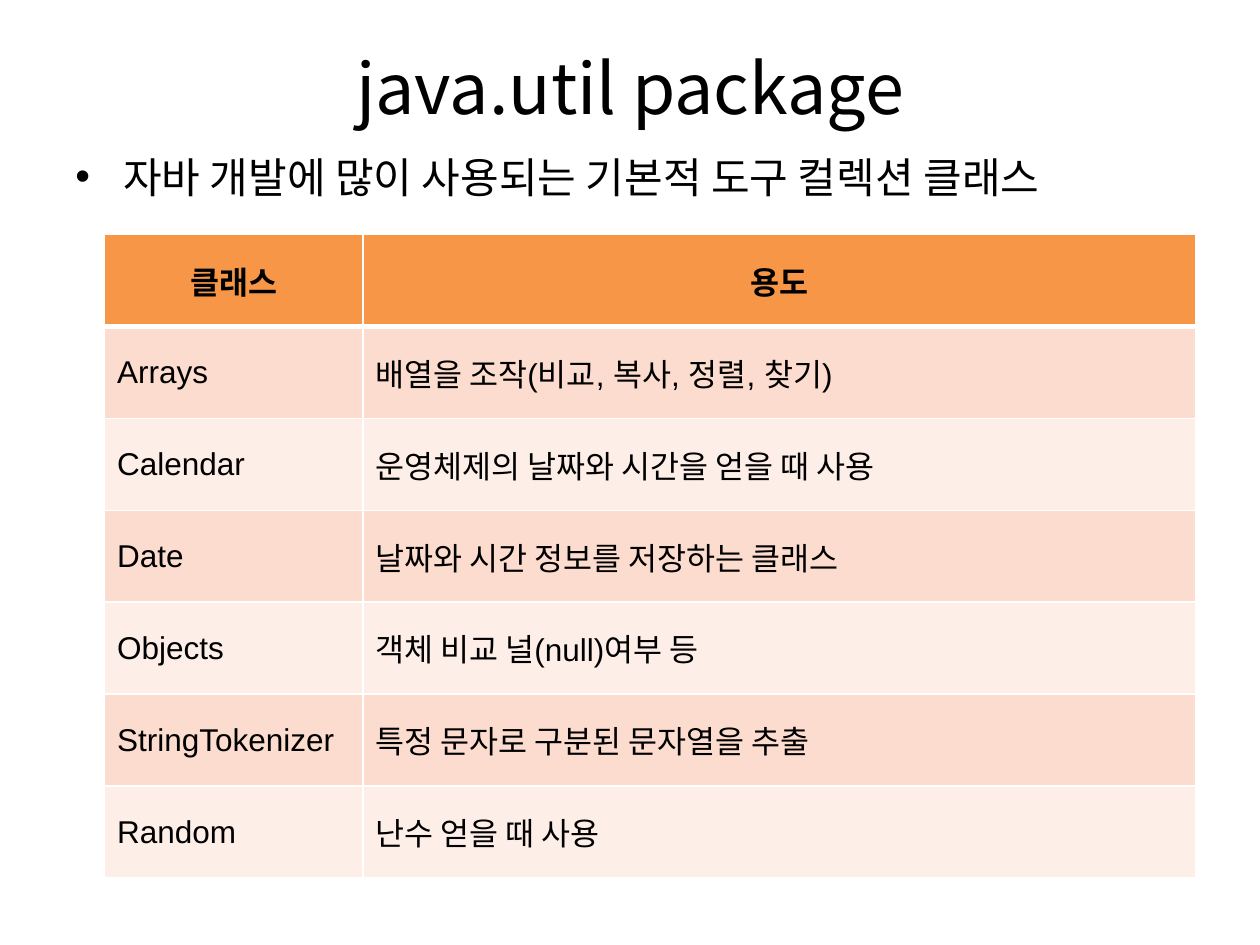
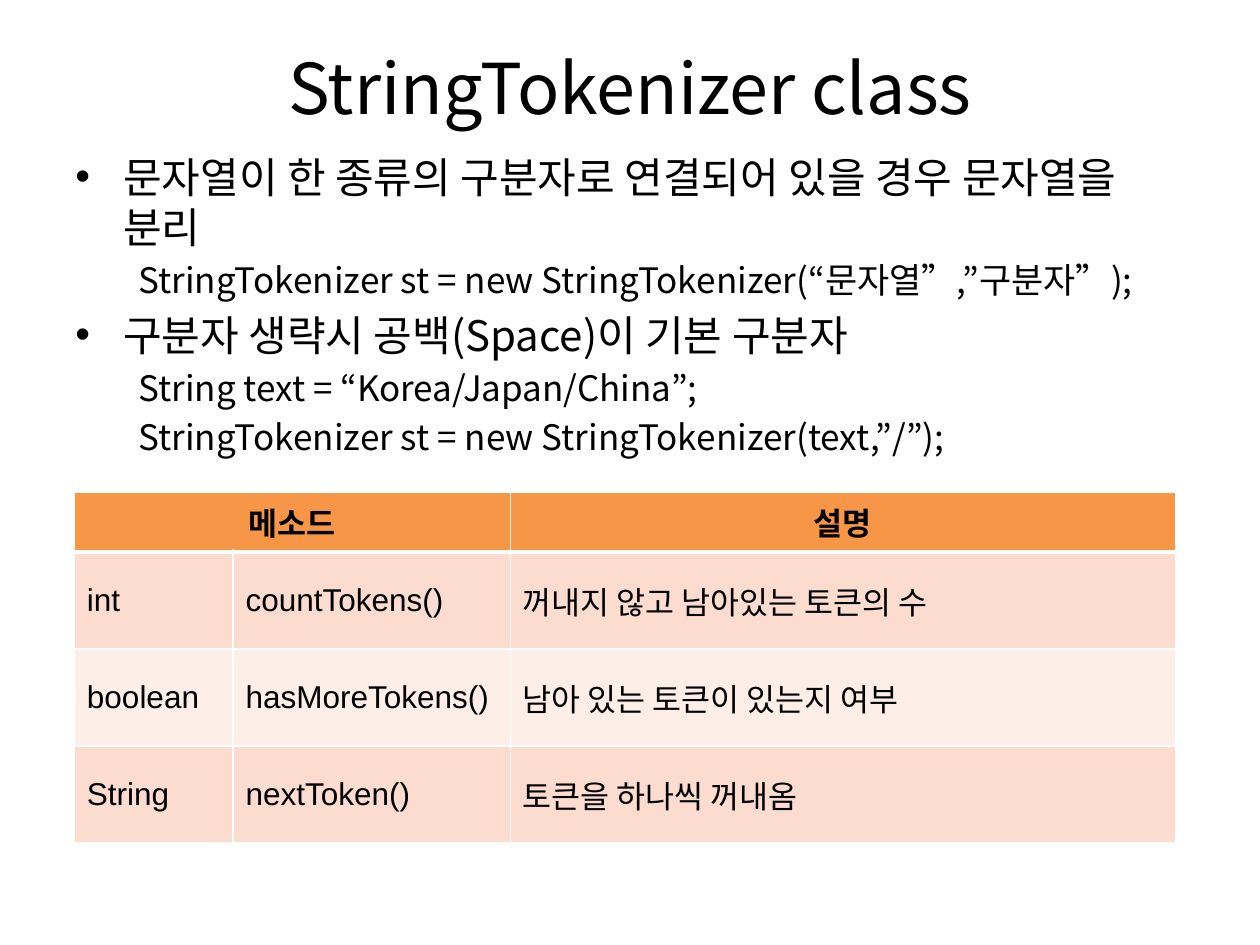
"""Builds two slides on the java.util package and its StringTokenizer class."""
import dataclasses

import pptx
import pptx.dml.color
import pptx.enum.text
import pptx.oxml
import pptx.oxml.ns
import pptx.util

Inches = pptx.util.Inches
Pt = pptx.util.Pt
Align = pptx.enum.text.PP_ALIGN
Anchor = pptx.enum.text.MSO_ANCHOR


@dataclasses.dataclass(frozen=True)
class Theme:
    """Colours, fonts and type sizes shared by the slides."""
    text: str = "000000"
    header: str = "F79646"
    bands: tuple = ("FCDCCE", "FDEEE8")
    border: str = "FFFFFF"
    text_font: str = "Noto Sans CJK KR"
    table_font: str = "Arial"
    title_size: int = 40
    point_size: int = 24
    code_size: int = 20
    table_size: int = 18
    thin_line: int = 1
    thick_line: int = 3


THEME = Theme()

PACKAGE_POINTS = [("point", "자바 개발에 많이 사용되는 기본적 도구 컬렉션 클래스")]
PACKAGE_ROWS = [
    ("클래스", "용도"),
    ("Arrays", "배열을 조작(비교, 복사, 정렬, 찾기)"),
    ("Calendar", "운영체제의 날짜와 시간을 얻을 때 사용"),
    ("Date", "날짜와 시간 정보를 저장하는 클래스"),
    ("Objects", "객체 비교 널(null)여부 등"),
    ("StringTokenizer", "특정 문자로 구분된 문자열을 추출"),
    ("Random", "난수 얻을 때 사용"),
]
TOKENIZER_POINTS = [
    ("point", "문자열이 한 종류의 구분자로 연결되어 있을 경우 문자열을 분리"),
    ("code", "StringTokenizer st = new StringTokenizer(“문자열”,”구분자”);"),
    ("point", "구분자 생략시 공백(Space)이 기본 구분자"),
    ("code", "String text = “Korea/Japan/China”;"),
    ("code", "StringTokenizer st = new StringTokenizer(text,”/”);"),
]
TOKENIZER_ROWS = [
    ("메소드", "", "설명"),
    ("int", "countTokens()", "꺼내지 않고 남아있는 토큰의 수"),
    ("boolean", "hasMoreTokens()", "남아 있는 토큰이 있는지 여부"),
    ("String", "nextToken()", "토큰을 하나씩 꺼내옴"),
]


def make_element(tag, **attributes):
    """Return a new drawing element with the given attributes."""
    element = pptx.oxml.parse_xml(f"<{tag} {pptx.oxml.ns.nsdecls('a')}/>")
    for name, value in attributes.items():
        element.set(name, str(value))
    return element


def style_paragraph(paragraph, size, font_name, bold=False):
    """Format every run of a paragraph, for Latin and Korean letters."""
    for run in paragraph.runs:
        run.font.size = Pt(size)
        run.font.bold = bold
        run.font.name = font_name
        run.font.color.rgb = pptx.dml.color.RGBColor.from_string(THEME.text)
        run.font._element.append(make_element("a:ea", typeface=THEME.text_font))


def add_titled_slide(presentation, title_text):
    """Add a title-only slide with its title set."""
    slide = presentation.slides.add_slide(presentation.slide_layouts[5])
    title = slide.shapes.title
    title.left, title.top = Inches(0.5), Inches(0.3)
    title.width, title.height = Inches(9), Inches(0.77)
    title.text_frame.text = title_text
    title.text_frame.vertical_anchor = Anchor.MIDDLE
    paragraph = title.text_frame.paragraphs[0]
    paragraph.alignment = Align.CENTER
    style_paragraph(paragraph, THEME.title_size, THEME.text_font)
    return slide


def set_indent(paragraph, left, first_line, bullet=None):
    """Set the indents of a paragraph and its optional bullet."""
    properties = paragraph._p.get_or_add_pPr()
    properties.set("marL", str(Inches(left)))
    properties.set("indent", str(Inches(first_line)))
    if bullet:
        properties.append(make_element("a:buFont", typeface=THEME.table_font))
        properties.append(make_element("a:buChar", char=bullet))


def add_points(slide, points):
    """Add the bulleted points and the code lines below the title."""
    shape = slide.shapes.add_textbox(Inches(0.5), Inches(1.15), Inches(9), Inches(5.55))
    text_frame = shape.text_frame
    text_frame.word_wrap = True
    text_frame.text = "\n".join(text for _, text in points)
    for index, (kind, _) in enumerate(points):
        paragraph = text_frame.paragraphs[index]
        size = THEME.point_size if kind == "point" else THEME.code_size
        paragraph.space_before = Pt(0.2 * size if index else 0)
        if kind == "point":
            set_indent(paragraph, 0.38, -0.38, "•")
        else:
            paragraph.level = 1
            set_indent(paragraph, 0.5, 0)
        style_paragraph(paragraph, size, THEME.text_font)


def set_borders(cell, row_index):
    """Draw the cell borders, with a thick rule under the header row."""
    thick_sides = {0: "B", 1: "T"}
    properties = cell._tc.get_or_add_tcPr()
    for position, side in enumerate("LRTB"):
        thick = thick_sides.get(row_index) == side
        width = THEME.thick_line if thick else THEME.thin_line
        line = make_element(f"a:ln{side}", w=Pt(width))
        fill = make_element("a:solidFill")
        fill.append(make_element("a:srgbClr", val=THEME.border))
        line.append(fill)
        properties.insert(position, line)


def format_cell(cell, text, row_index):
    """Fill one cell with its text, colour and borders."""
    header = row_index == 0
    color = THEME.header if header else THEME.bands[(row_index - 1) % 2]
    cell.text_frame.text = text
    cell.vertical_anchor = Anchor.MIDDLE
    cell.fill.solid()
    cell.fill.fore_color.rgb = pptx.dml.color.RGBColor.from_string(color)
    paragraph = cell.text_frame.paragraphs[0]
    paragraph.alignment = Align.CENTER if header else Align.LEFT
    style_paragraph(paragraph, THEME.table_size, THEME.table_font, header)
    set_borders(cell, row_index)


def add_banded_table(slide, left, top, column_widths, row_heights, rows):
    """Add a banded table; an empty text joins its cell to the one before."""
    table = slide.shapes.add_table(
        len(rows), len(column_widths), Inches(left), Inches(top),
        Inches(sum(column_widths)), Inches(sum(row_heights))).table
    for column, width in zip(table.columns, column_widths):
        column.width = Inches(width)
    for row_index, (texts, height) in enumerate(zip(rows, row_heights)):
        table.rows[row_index].height = Inches(height)
        for column_index, text in enumerate(texts):
            cell = table.cell(row_index, column_index)
            format_cell(cell, text, row_index)
            if not text:
                table.cell(row_index, column_index - 1).merge(cell)


def main():
    """Build both slides and save the presentation."""
    presentation = pptx.Presentation()
    presentation.slide_width, presentation.slide_height = Inches(10), Inches(7.5)

    slide = add_titled_slide(presentation, "java.util package")
    add_points(slide, PACKAGE_POINTS)
    add_banded_table(slide, 0.83, 1.86, [2.05, 6.61], [0.73] * 7, PACKAGE_ROWS)

    slide = add_titled_slide(presentation, "StringTokenizer class")
    add_points(slide, TOKENIZER_POINTS)
    add_banded_table(slide, 0.59, 3.91, [1.26, 2.2, 5.28], [0.47] + [0.77] * 3,
                     TOKENIZER_ROWS)

    presentation.save("out.pptx")


if __name__ == "__main__":
    main()
